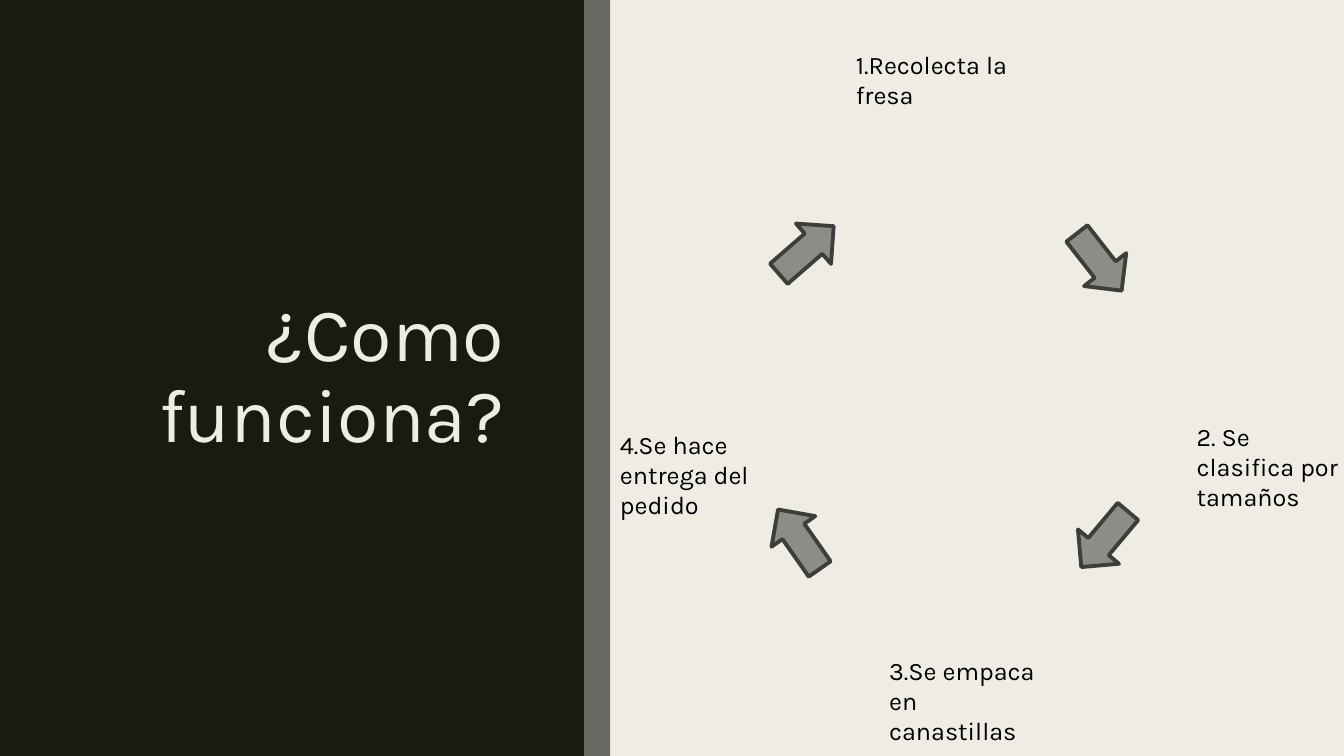
from dataclasses import dataclass

from pptx import Presentation
from pptx.dml.color import RGBColor
from pptx.enum.shapes import MSO_SHAPE as Kind
from pptx.enum.text import MSO_ANCHOR as Anchor, MSO_AUTO_SIZE as Fit, PP_ALIGN as Align
from pptx.shapes.autoshape import Shape
from pptx.slide import Slide
from pptx.util import Inches, Pt

WIDTH, HEIGHT = Inches(13.33), Inches(7.5)
FONT = "Karla"
CREAM = RGBColor(0xEF, 0xED, 0xE3)
DARK = RGBColor(0x19, 0x1B, 0x0E)
STONE = RGBColor(0x69, 0x6A, 0x64)
GREY = RGBColor(0x8C, 0x8D, 0x86)
EDGE = RGBColor(0x3D, 0x3E, 0x3B)
BLACK = RGBColor(0, 0, 0)


@dataclass(frozen=True)
class Box:
    """Place and size in percent of the slide's width and height."""
    left: float
    top: float
    width: float
    height: float

    def place(self) -> tuple[int, int, int, int]:
        return (int(WIDTH * self.left / 100), int(HEIGHT * self.top / 100),
                int(WIDTH * self.width / 100), int(HEIGHT * self.height / 100))


@dataclass(frozen=True)
class Arrow:
    left: float
    top: float
    turn: int


@dataclass(frozen=True)
class Step:
    text: str
    box: Box


PANEL = Box(0, 0, 43.5, 100)
STRIPE = Box(43.5, 0, 1.9, 100)
TITLE = Box(5.25, 11.6, 33, 76.8)

ARROWS = [
    Arrow(79.8, 29.87, 142),
    Arrow(80.2, 66.53, 220),
    Arrow(57.45, 66.53, 325),
    Arrow(58, 28.27, 49),
]
STEPS = [
    Step("1.Recolecta la fresa", Box(62.94, 5.87, 13.28, 9.47)),
    Step("2. Se clasifica por tamaños", Box(88.3, 55.07, 12.38, 13.47)),
    Step("3.Se empaca en canastillas", Box(65.42, 86, 13.28, 9.47)),
    Step("4.Se hace entrega del pedido", Box(45.39, 56.13, 13.28, 13.47)),
]


def add_form(slide: Slide, kind: Kind, box: Box, fill: RGBColor) -> Shape:
    form = slide.shapes.add_shape(kind, *box.place())
    form.shadow.inherit = False
    form.fill.solid()
    form.fill.fore_color.rgb = fill
    form.line.fill.background()
    return form


def add_arrow(slide: Slide, arrow: Arrow) -> None:
    form = add_form(slide, Kind.UP_ARROW, Box(arrow.left, arrow.top, 3.98, 9.6), GREY)
    form.line.color.rgb = EDGE
    form.line.width = Pt(2.75)
    form.rotation = arrow.turn


def add_text(slide: Slide, text: str, box: Box, size: int, color: RGBColor) -> Shape:
    area = slide.shapes.add_textbox(*box.place())
    area.text_frame.word_wrap = True
    run = area.text_frame.paragraphs[0].add_run()
    run.text = text
    run.font.name = FONT
    run.font.size = Pt(size)
    run.font.color.rgb = color
    return area


def main() -> None:
    deck = Presentation()
    deck.slide_width, deck.slide_height = WIDTH, HEIGHT
    slide = deck.slides.add_slide(deck.slide_layouts[6])
    slide.background.fill.solid()
    slide.background.fill.fore_color.rgb = CREAM

    # Title panel
    add_form(slide, Kind.RECTANGLE, PANEL, DARK)
    title = add_text(slide, "¿Como funciona?", TITLE, 54, CREAM).text_frame
    title.vertical_anchor = Anchor.MIDDLE
    title.paragraphs[0].alignment = Align.RIGHT
    title.paragraphs[0].line_spacing = 0.89
    add_form(slide, Kind.RECTANGLE, STRIPE, STONE)

    # Cycle of steps
    for arrow in ARROWS:
        add_arrow(slide, arrow)
    for step in STEPS:
        note = add_text(slide, step.text, step.box, 18, BLACK)
        note.text_frame.auto_size = Fit.SHAPE_TO_FIT_TEXT

    deck.save("out.pptx")


if __name__ == "__main__":
    main()
